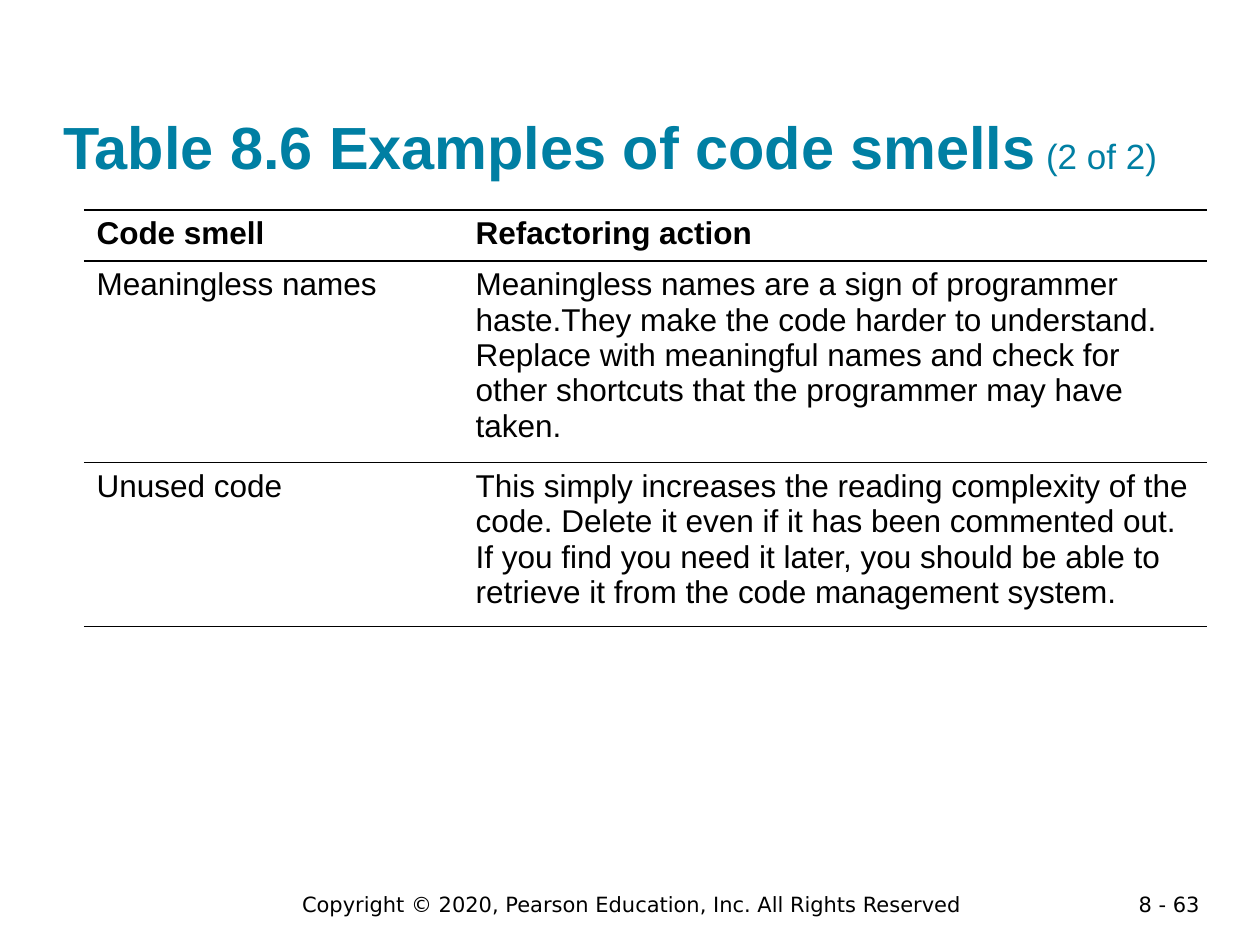
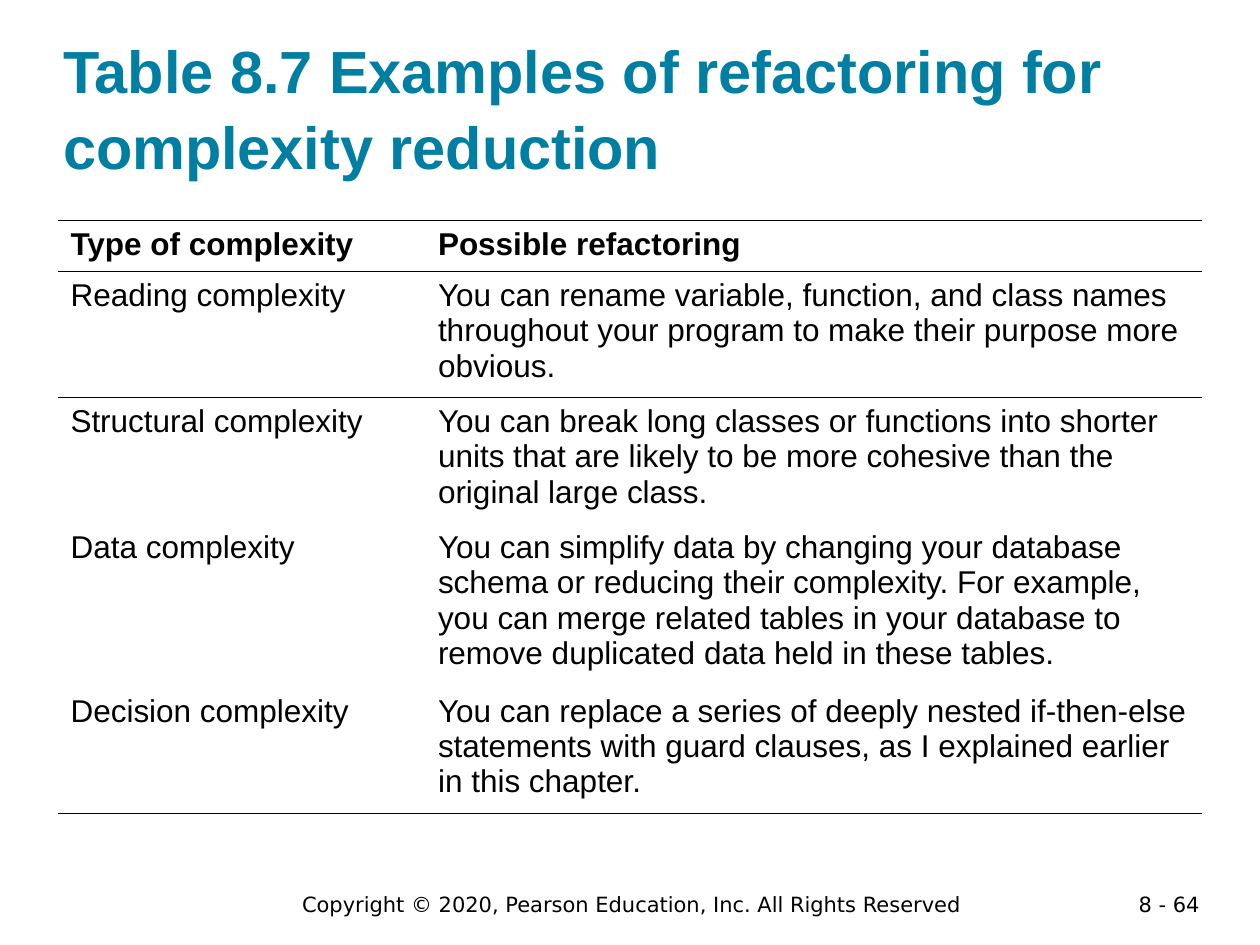
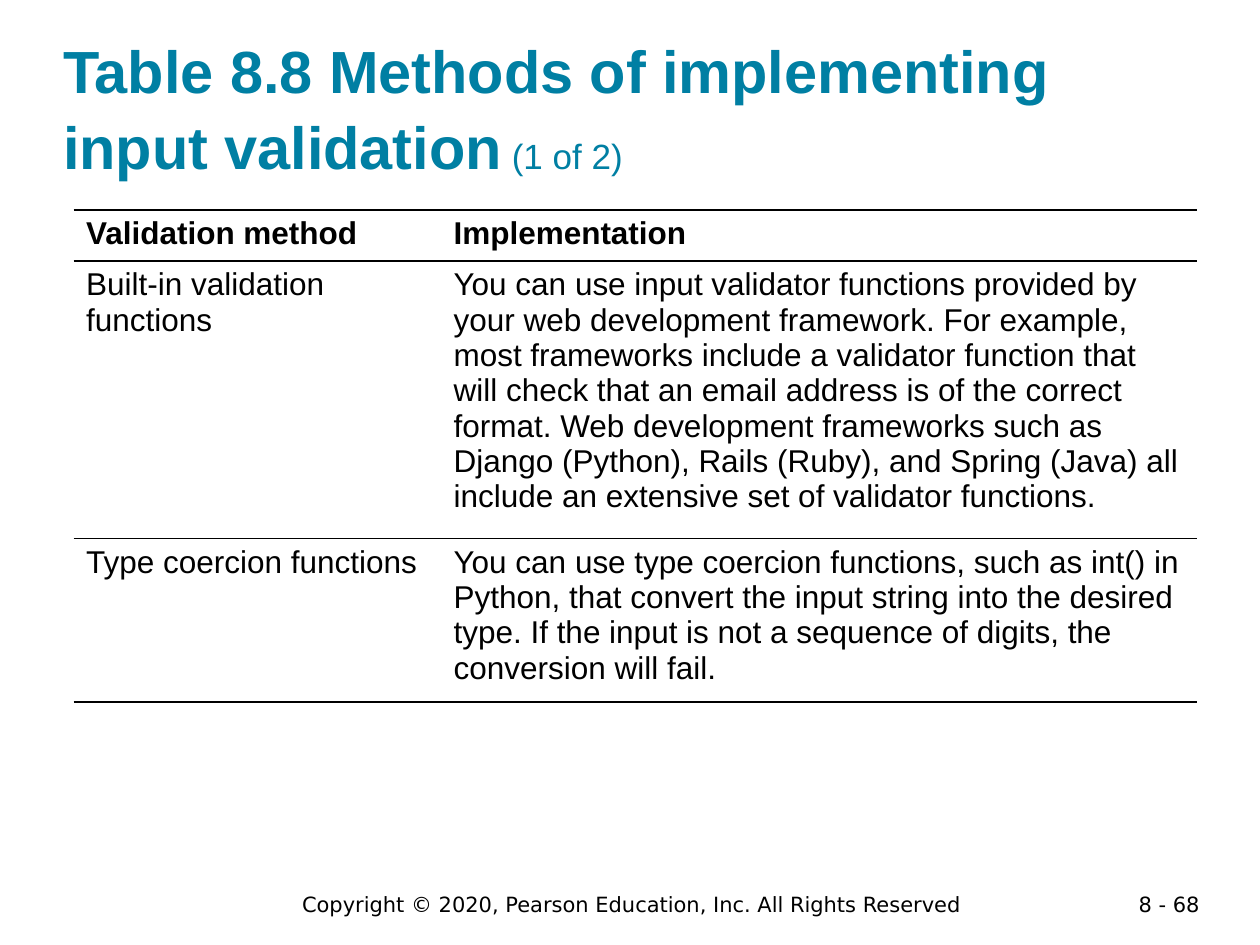
from lxml import etree
from pptx import Presentation
from pptx.dml.color import RGBColor
from pptx.enum import text
from pptx.oxml import ns
from pptx.util import Pt

TEAL = RGBColor(0x00, 0x7F, 0xA3)
BLACK = RGBColor(0x00, 0x00, 0x00)

# Shared formats
TITLE = dict(name="Arial", size=Pt(34), bold=True, color=TEAL)
PART = dict(TITLE, size=Pt(20), bold=False)
HEADING = dict(name="Arial", size=Pt(18), bold=True, color=BLACK)
BODY = dict(HEADING, bold=False)
FOOTER = dict(name="DejaVu Sans", size=Pt(12), bold=False, color=BLACK)

# Shared boxes: left, top, width, height in points
TITLE_BOX = (36, 17.28, 648, 86.4)
NUMBER_BOX = (620.64, 506.16, 72, 15.84)
COPYRIGHT_BOX = (118, 506.16, 486, 21.6)
COPYRIGHT = "Copyright © 2020, Pearson Education, Inc. All Rights Reserved"

HEADING_HEIGHT = 29.2
LINE_HEIGHT = 20.12
CELL_PADDING = 7.2
RULE_WIDTH = 1


def set_font(font, style):
    for key, value in style.items():
        if key == "color":
            font.color.rgb = value
        else:
            setattr(font, key, value)


def add_span(para, words, style):
    span = para.add_run()
    span.text = words
    set_font(span.font, style)


def add_title(page, words, part):
    title = page.shapes.title
    title.left, title.top, title.width, title.height = map(Pt, TITLE_BOX)
    frame = title.text_frame
    settings = dict(margin_left=0, margin_top=0, margin_right=0, margin_bottom=0,
                    word_wrap=True, auto_size=text.MSO_AUTO_SIZE.NONE,
                    vertical_anchor=text.MSO_ANCHOR.BOTTOM)
    for key, value in settings.items():
        setattr(frame, key, value)
    para = frame.paragraphs[0]
    para.alignment = text.PP_ALIGN.LEFT
    para.line_spacing = 1.07
    add_span(para, words, TITLE)
    if part:
        add_span(para, " " + part, PART)


def add_footer(page, box, words, alignment):
    frame = page.shapes.add_textbox(*map(Pt, box)).text_frame
    frame.word_wrap = True
    para = frame.paragraphs[0]
    para.alignment = alignment
    add_span(para, words, FOOTER)


def set_borders(cell, ruled_sides):
    """Draw a black rule on the given sides and clear the others."""
    properties = cell._tc.get_or_add_tcPr()
    for place, side in enumerate("LRTB"):
        line = etree.Element(ns.qn(f"a:ln{side}"), w=str(Pt(RULE_WIDTH)))
        if side in ruled_sides:
            fill = etree.SubElement(line, ns.qn("a:solidFill"))
            etree.SubElement(fill, ns.qn("a:srgbClr"), val=str(BLACK))
        else:
            etree.SubElement(line, ns.qn("a:noFill"))
        properties.insert(place, line)


def add_ruled_table(page, corner, widths, headings, rows, rules):
    """Each row holds its line count and cell texts; rules lists ruled row edges."""
    heights = [HEADING_HEIGHT] + [LINE_HEIGHT * lines + CELL_PADDING for lines, *_ in rows]
    box = (*corner, sum(widths), sum(heights))
    table = page.shapes.add_table(len(heights), len(widths), *map(Pt, box)).table
    table.first_row = table.horz_banding = False
    for column, width in zip(table.columns, widths):
        column.width = Pt(width)
    contents = [headings] + [cells for _, *cells in rows]
    for index, (height, cells) in enumerate(zip(heights, contents)):
        table.rows[index].height = Pt(height)
        sides = ("T" if index in rules else "") + ("B" if index + 1 in rules else "")
        for column, words in enumerate(cells):
            cell = table.cell(index, column)
            cell.fill.background()
            set_borders(cell, sides)
            cell.text = words
            for para in cell.text_frame.paragraphs:
                for span in para.runs:
                    set_font(span.font, BODY if index else HEADING)


def add_table_page(deck, number, title, part, **table):
    page = deck.slides.add_slide(deck.slide_layouts[5])
    add_footer(page, NUMBER_BOX, f"8 - {number}", text.PP_ALIGN.RIGHT)
    add_footer(page, COPYRIGHT_BOX, COPYRIGHT, text.PP_ALIGN.CENTER)
    add_ruled_table(page, **table)
    add_title(page, title, part)


PAGES = [
    dict(
        number=63, title="Table 8.6 Examples of code smells", part="(2 of 2)",
        corner=(48, 120), widths=(216.6, 425.4), rules=range(4),
        headings=("Code smell", "Refactoring action"),
        rows=[
            (5, "Meaningless names",
             "Meaningless names are a sign of programmer haste.They make the code harder "
             "to understand. Replace with meaningful names and check for other shortcuts "
             "that the programmer may have taken."),
            (4, "Unused code",
             "This simply increases the reading complexity of the code. Delete it even if "
             "it has been commented out. If you find you need it later, you should be able "
             "to retrieve it from the code management system."),
        ]),
    dict(
        number=64, title="Table 8.7 Examples of refactoring for complexity reduction",
        part="", corner=(33.1, 126), widths=(210, 444), rules=(0, 1, 2, 5),
        headings=("Type of complexity", "Possible refactoring"),
        rows=[
            (3, "Reading complexity",
             "You can rename variable, function, and class names\n"
             "throughout your program to make their purpose more obvious."),
            (3, "Structural complexity",
             "You can break long classes or functions into shorter units that are likely "
             "to be more cohesive than the original large class."),
            (4, "Data complexity",
             "You can simplify data by changing your database schema or reducing their "
             "complexity. For example, you can merge related tables in your database to "
             "remove duplicated data held in these tables."),
            (3, "Decision complexity",
             "You can replace a series of deeply nested if-then-else\n"
             "statements with guard clauses, as I explained earlier in this chapter."),
        ]),
    dict(
        number=68, title="Table 8.8 Methods of implementing input validation",
        part="(1 of 2)", corner=(42, 120), widths=(210, 432), rules=range(4),
        headings=("Validation method", "Implementation"),
        rows=[
            (7, "Built-in validation functions",
             "You can use input validator functions provided by your web development "
             "framework. For example, most frameworks include a validator function that "
             "will check that an email address is of the correct format. Web development "
             "frameworks such as Django (Python), Rails (Ruby), and Spring (Java) all "
             "include an extensive set of validator functions."),
            (4, "Type coercion functions",
             "You can use type coercion functions, such as int() in\n"
             "Python, that convert the input string into the desired\n"
             "type. If the input is not a sequence of digits, the\n"
             "conversion will fail."),
        ]),
]


def main():
    deck = Presentation()
    deck.slide_width, deck.slide_height = Pt(720), Pt(540)
    for page in PAGES:
        add_table_page(deck, **page)
    deck.save("out.pptx")


if __name__ == "__main__":
    main()
